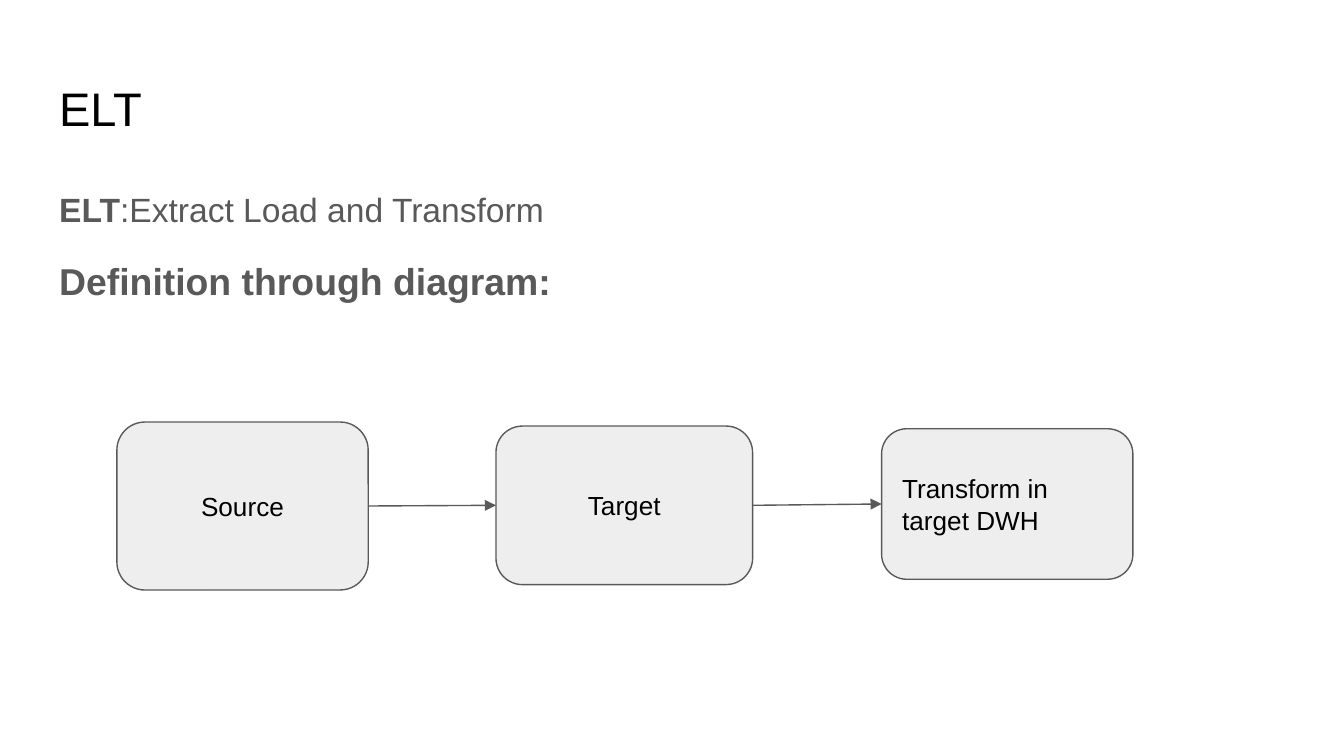
import pptx
import pptx.util
import pptx.dml.color
import pptx.enum.shapes
import pptx.enum.text
import pptx.oxml.ns
import lxml.etree

Inches = pptx.util.Inches
Pt = pptx.util.Pt
Anchor = pptx.enum.text.MSO_ANCHOR
Align = pptx.enum.text.PP_ALIGN

HEADING = "ELT"
DEFINITION = [
    {"runs": [("ELT", True), (":Extract Load and Transform", False)], "size": "body", "before": 0},
    {"runs": [("Definition through diagram:", True)], "size": "subhead", "before": 12},
]
STAGES = [
    ("Source", (0.87, 3.14, 1.87, 1.25), Align.CENTER),
    ("Target", (3.69, 3.17, 1.91, 1.18), Align.CENTER),
    ("Transform in target DWH", (6.56, 3.19, 1.87, 1.12), Align.LEFT),
]
THEME = {
    "font": "Arial",
    "black": "000000", "gray": "595959", "fill": "EEEEEE", "background": "FFFFFF",
    "title": 25.2, "body": 18, "subhead": 20, "stage": 14, "line": 0.75,
    "inset": 0.1, "corner": 0.167, "spacing": 1.15,
}


def color(name):
    return pptx.dml.color.RGBColor.from_string(THEME[name])


def place(part, box):
    part.left, part.top, part.width, part.height = map(Inches, box)


def prepare(frame, anchor):
    frame.word_wrap = True
    frame.auto_size = pptx.enum.text.MSO_AUTO_SIZE.NONE
    frame.vertical_anchor = anchor
    frame.margin_left = frame.margin_right = Inches(THEME["inset"])
    frame.margin_top = frame.margin_bottom = Inches(THEME["inset"])


def add_run(paragraph, words, size, ink, bold=False):
    run = paragraph.add_run()
    run.text = words
    run.font.name = THEME["font"]
    run.font.size = Pt(THEME[size])
    run.font.bold = bold
    run.font.color.rgb = color(ink)


def add_xml(parent, tag, **attributes):
    lxml.etree.SubElement(parent, pptx.oxml.ns.qn(tag), attributes)


def add_heading(slide):
    heading = slide.shapes.title
    place(heading, (0.34, 0.49, 9.32, 0.63))
    prepare(heading.text_frame, Anchor.MIDDLE)
    paragraph = heading.text_frame.paragraphs[0]
    paragraph.alignment = Align.LEFT
    add_run(paragraph, HEADING, "title", "black")


def add_definition(slide):
    definition = slide.placeholders[1]
    place(definition, (0.34, 1.26, 9.32, 3.74))
    frame = definition.text_frame
    prepare(frame, Anchor.TOP)
    for index, entry in enumerate(DEFINITION):
        paragraph = frame.add_paragraph() if index else frame.paragraphs[0]
        paragraph.line_spacing = THEME["spacing"]
        paragraph.space_before = Pt(entry["before"])
        properties = paragraph._p.get_or_add_pPr()
        properties.set("marL", "0")
        properties.set("indent", "0")
        add_xml(properties, "a:buNone")
        for words, bold in entry["runs"]:
            add_run(paragraph, words, entry["size"], "gray", bold)


def add_stage(slide, label, box, alignment):
    stage = slide.shapes.add_shape(
        pptx.enum.shapes.MSO_SHAPE.ROUNDED_RECTANGLE, *map(Inches, box))
    stage.adjustments[0] = THEME["corner"]
    stage.shadow.inherit = False
    stage.fill.solid()
    stage.fill.fore_color.rgb = color("fill")
    stage.line.color.rgb = color("gray")
    stage.line.width = Pt(THEME["line"])
    prepare(stage.text_frame, Anchor.MIDDLE)
    paragraph = stage.text_frame.paragraphs[0]
    paragraph.alignment = alignment
    add_run(paragraph, label, "stage", "black")
    return stage


def add_arrow(slide, source, target):
    arrow = slide.shapes.add_connector(
        pptx.enum.shapes.MSO_CONNECTOR.STRAIGHT, 0, 0, 0, 0)
    arrow.begin_connect(source, 3)
    arrow.end_connect(target, 1)
    arrow.line.color.rgb = color("gray")
    arrow.line.width = Pt(THEME["line"])
    add_xml(arrow.line._get_or_add_ln(), "a:tailEnd", type="triangle")
    add_xml(arrow._element.spPr, "a:effectLst")


def main():
    deck = pptx.Presentation()
    deck.slide_width = Inches(10)
    deck.slide_height = Inches(10 * 9 / 16)
    slide = deck.slides.add_slide(deck.slide_layouts[1])
    slide.background.fill.solid()
    slide.background.fill.fore_color.rgb = color("background")
    add_heading(slide)
    add_definition(slide)
    stages = [add_stage(slide, *stage) for stage in STAGES]
    for source, target in zip(stages, stages[1:]):
        add_arrow(slide, source, target)
    deck.save("out.pptx")


if __name__ == "__main__":
    main()
